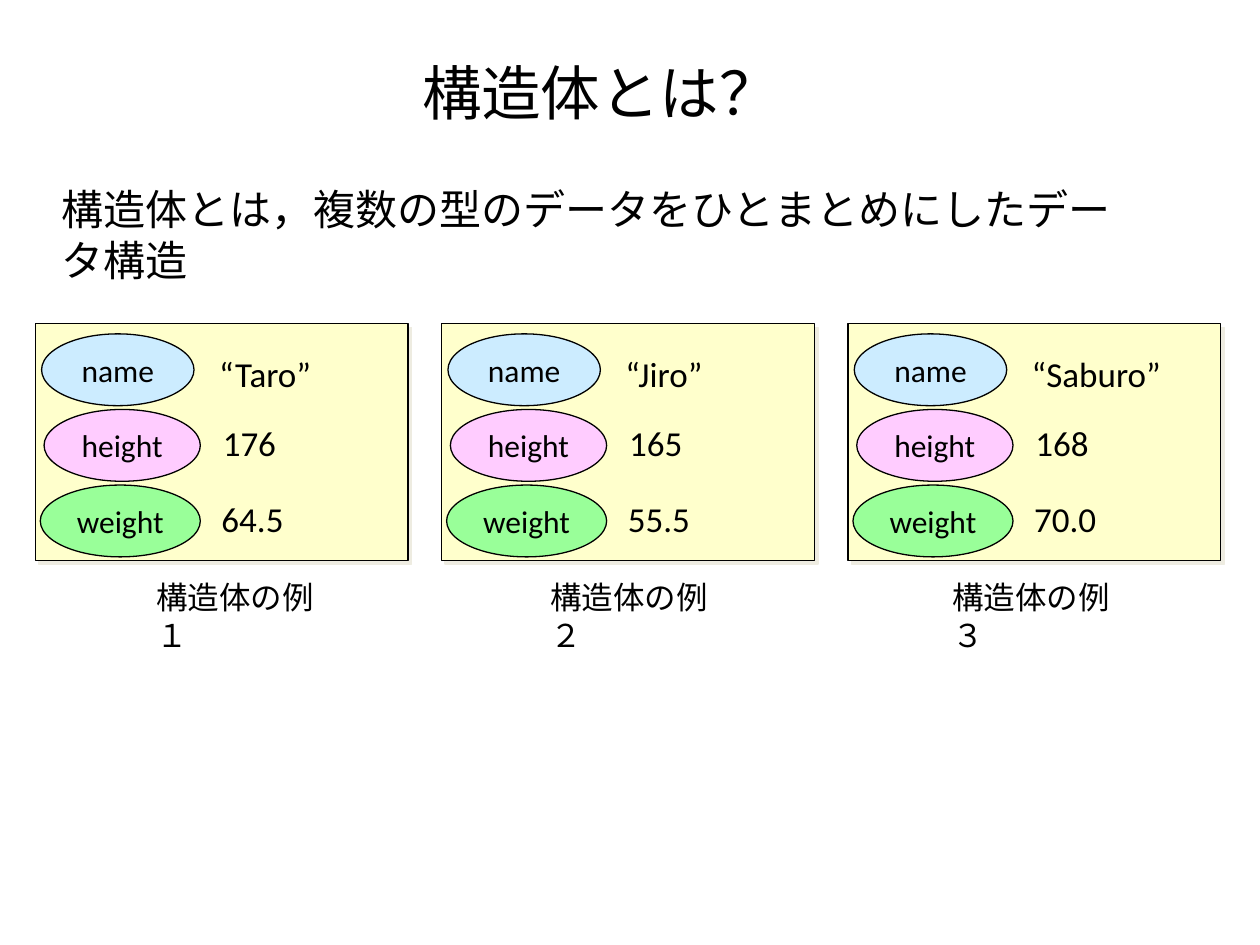
from lxml import etree
from pptx import Presentation
from pptx.dml.color import RGBColor
from pptx.enum.shapes import MSO_SHAPE as SHAPE
from pptx.enum.text import MSO_ANCHOR as ANCHOR, PP_ALIGN as ALIGN
from pptx.oxml.ns import qn
from pptx.util import Inches, Pt

COLORS = {
    "text": "000000", "line": "000000", "card": "FFFFCC", "shadow": "EEECE1",
    "name": "CCECFF", "height": "FFCCFF", "weight": "99FF99",
}
FONT = "Calibri"

# Member: left, top, width of its ellipse, then left, top, width of its value,
# all measured from the card's corner
MEMBERS = {
    "name": (0.05, 0.08, 1.21, 1.36, 0.18, 1.6),
    "height": (0.07, 0.68, 1.24, 1.39, 0.73, 0.63),
    "weight": (0.04, 1.28, 1.27, 1.38, 1.33, 1.34),
}
RECORDS = [
    ("“Taro”", "176", "64.5"),
    ("“Jiro”", "165", "55.5"),
    ("“Saburo”", "168", "70.0"),
]
CAPTIONS = [("構造体の例１", 1.14), ("構造体の例２", 4.27), ("構造体の例３", 7.46)]


def color(key):
    return RGBColor.from_string(COLORS[key])


def write(shape, text, size, align=ALIGN.LEFT, anchor=ANCHOR.TOP):
    frame = shape.text_frame
    frame.word_wrap = True
    frame.vertical_anchor = anchor
    paragraph = frame.paragraphs[0]
    paragraph.alignment = align
    run = paragraph.add_run()
    run.text = text
    for attribute, value in {"name": FONT, "size": Pt(size)}.items():
        setattr(run.font, attribute, value)
    run.font.color.rgb = color("text")


def add_text(shapes, box, text, size, **layout):
    label = shapes.add_textbox(*map(Inches, box))
    write(label, text, size, **layout)


def add_outlined(shapes, kind, box, fill):
    outlined = shapes.add_shape(kind, *map(Inches, box))
    outlined.shadow.inherit = False
    outlined.fill.solid()
    outlined.fill.fore_color.rgb = color(fill)
    outlined.line.color.rgb = color("line")
    outlined.line.width = Pt(0.75)
    return outlined


def add_shadow(shape):
    effects = shape._element.spPr.find(qn("a:effectLst"))
    shadow = etree.SubElement(effects, qn("a:outerShdw"), dist=str(Pt(2.8)),
                              dir=str(45 * 60000), algn="ctr", rotWithShape="0")
    etree.SubElement(shadow, qn("a:srgbClr"), val=COLORS["shadow"])


def add_record(slide, box, values):
    left, top = box[:2]
    shapes = slide.shapes.add_group_shape().shapes
    add_shadow(add_outlined(shapes, SHAPE.RECTANGLE, box, "card"))

    # Member ellipses
    for member, (x, y, width, *_) in MEMBERS.items():
        ellipse = add_outlined(shapes, SHAPE.OVAL, (left + x, top + y, width, 0.57), member)
        write(ellipse, member, 18, ALIGN.CENTER, ANCHOR.MIDDLE)

    # Member values
    for (*_, x, y, width), value in zip(MEMBERS.values(), values):
        add_text(shapes, (left + x, top + y, width, 0.44), value, 20)


def add_heading(slide, box):
    left, top, width, height = box
    add_text(slide.shapes, (left + 0.21, top, 8.33, 0.75), "構造体とは？", 34,
             align=ALIGN.CENTER, anchor=ANCHOR.MIDDLE)
    add_text(slide.shapes, (left, top + 1.06, width, height - 1.06),
             "構造体とは，複数の型のデータをひとまとめにしたデータ構造", 24)


def add_records(slide, box):
    left, top, width, height = box
    card_width = 2.96
    pitch = (width - card_width) / (len(RECORDS) - 1)
    for index, values in enumerate(RECORDS):
        add_record(slide, (left + index * pitch, top, card_width, height), values)
    for caption, caption_left in CAPTIONS:
        add_text(slide.shapes, (caption_left, top + height + 0.09, 1.64, 0.4), caption, 18)


def main():
    deck = Presentation()
    deck.slide_width, deck.slide_height = Inches(10), Inches(7.5)
    slide = deck.slides.add_slide(deck.slide_layouts[6])
    add_heading(slide, (0.39, 0.35, 8.84, 1.57))
    add_records(slide, (0.28, 2.57, 9.41, 1.88))
    deck.save("out.pptx")


if __name__ == "__main__":
    main()
